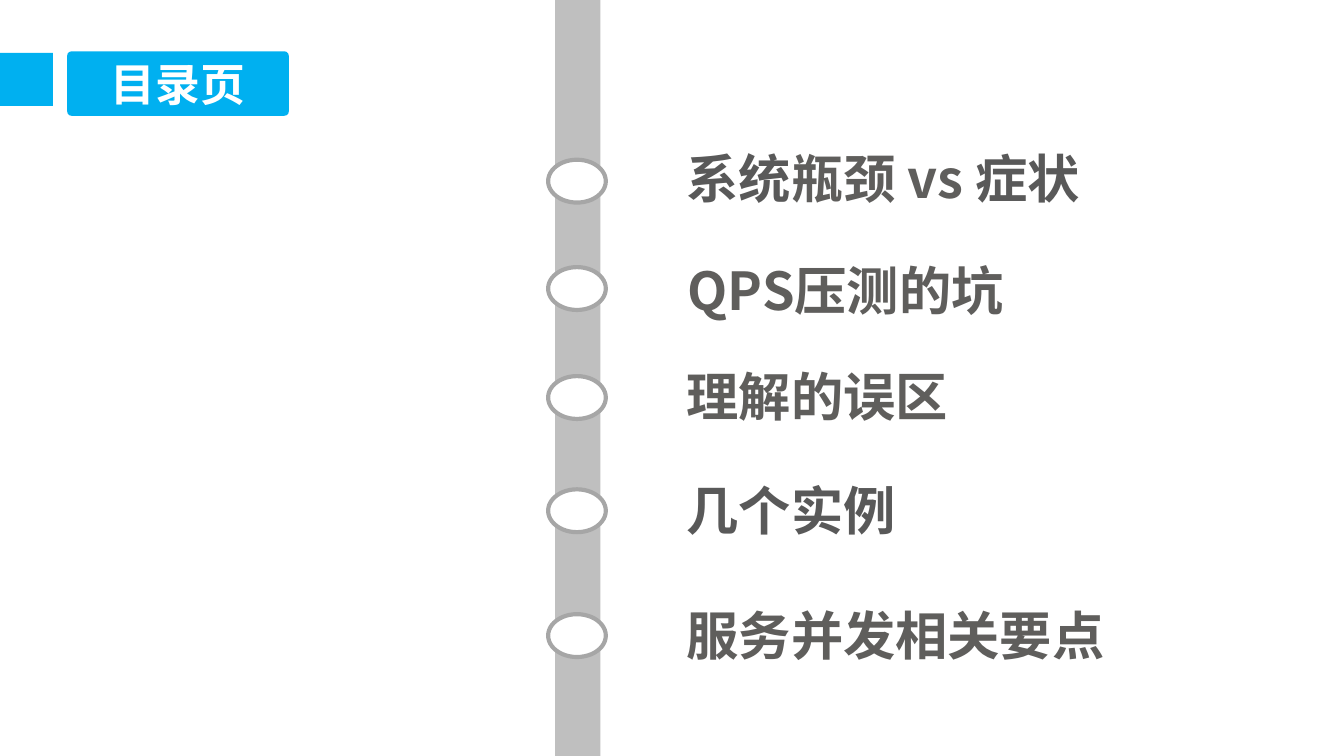
"""Build the contents slide: a vertical timeline with five topics."""
import pptx
import pptx.dml.color
import pptx.enum.shapes
import pptx.enum.text
import pptx.oxml.ns
import pptx.util
from lxml import etree

Cm = pptx.util.Cm
SHAPE = pptx.enum.shapes.MSO_SHAPE
COLORS = {
    "white": "FFFFFF",
    "bar": "BFBFBF",
    "ring": "A6A6A6",
    "tab": "00B0F0",
    "gray": "595959",
    "warm": "5F5E5C",
}
FONTS = {"gray": "Noto Sans CJK JP", "warm": "Noto Sans CJK SC"}
TOPICS = [
    (3.02, (12.73, 2.77, 12.65, 1.45),
     [("系统", "gray"), ("瓶颈 vs ", "warm"), ("症状", "gray")]),
    (5.05, (12.75, 4.88, 12.65, 1.45), [("QPS压测的坑", "warm")]),
    (7.11, (12.73, 6.88, 9.8, 1.45), [("理解的误区", "warm")]),
    (9.25, (12.73, 9.04, 9.8, 2.64), [("几个实例", "gray")]),
    (11.61, (12.73, 11.4, 9.8, 2.64), [("服务并发相关要点", "warm")]),
]


def rgb(name):
    return pptx.dml.color.RGBColor.from_string(COLORS[name])


def paint(shape, fill, line=None):
    shape.shadow.inherit = False
    shape.fill.solid()
    shape.fill.fore_color.rgb = rgb(fill)
    if line:
        shape.line.color.rgb = rgb(line)
        shape.line.width = pptx.util.Pt(2.25)
    else:
        shape.line.fill.background()


def add_block(page, kind, place, fill, line=None):
    shape = page.shapes.add_shape(kind, *map(Cm, place))
    paint(shape, fill, line)
    return shape


def add_edge_tab(page):
    builder = page.shapes.build_freeform(0, 0.97, scale=Cm(1))
    builder.add_line_segments([
        (0.99, 0.97), (1.1, 0.98), (1.14, 1.02),
        (1.14, 2.13), (1.1, 2.17), (0.99, 2.18), (0, 2.18),
    ])
    paint(builder.convert_to_shape(), "tab")


def add_span(para, text, size, color, font, asian_font):
    span = para.add_run()
    span.text = text
    span.font.size = pptx.util.Pt(size)
    span.font.bold = True
    span.font.name = font
    span.font.color.rgb = rgb(color)
    asian = etree.SubElement(span.font._element, pptx.oxml.ns.qn("a:ea"))
    asian.set("typeface", asian_font)


def prepare_frame(box):
    frame = box.text_frame
    frame.word_wrap = True
    frame.auto_size = pptx.enum.text.MSO_AUTO_SIZE.NONE
    frame.vertical_anchor = pptx.enum.text.MSO_ANCHOR.TOP
    frame.margin_top = 0
    return frame.paragraphs[0]


def add_title(page):
    title = page.shapes.title
    title.left, title.top, title.width, title.height = map(
        Cm, (1.27, 1.07, 4.19, 1.3))
    para = prepare_frame(title)
    para.alignment = pptx.enum.text.PP_ALIGN.CENTER
    add_span(para, "目录页", 24, "white", "Calibri", FONTS["warm"])
    page.shapes._spTree.append(title._element)


def add_topic(page, marker_top, place, parts):
    add_block(page, SHAPE.OVAL, (10.36, marker_top, 1.09, 0.81), "white", "ring")
    para = prepare_frame(page.shapes.add_textbox(*map(Cm, place)))
    for text, tone in parts:
        add_span(para, text, 28, tone, FONTS[tone], FONTS[tone])


def main():
    deck = pptx.Presentation()
    deck.slide_width, deck.slide_height = Cm(25.4), Cm(14.29)
    page = deck.slides.add_slide(deck.slide_layouts[5])
    add_block(page, SHAPE.RECTANGLE, (10.49, 0, 0.86, 14.29), "bar")
    add_edge_tab(page)
    tab = add_block(page, SHAPE.ROUNDED_RECTANGLE, (1.27, 0.97, 4.19, 1.22), "tab")
    tab.adjustments[0] = 0.07
    add_title(page)
    for topic in TOPICS:
        add_topic(page, *topic)
    deck.save("out.pptx")


if __name__ == "__main__":
    main()
